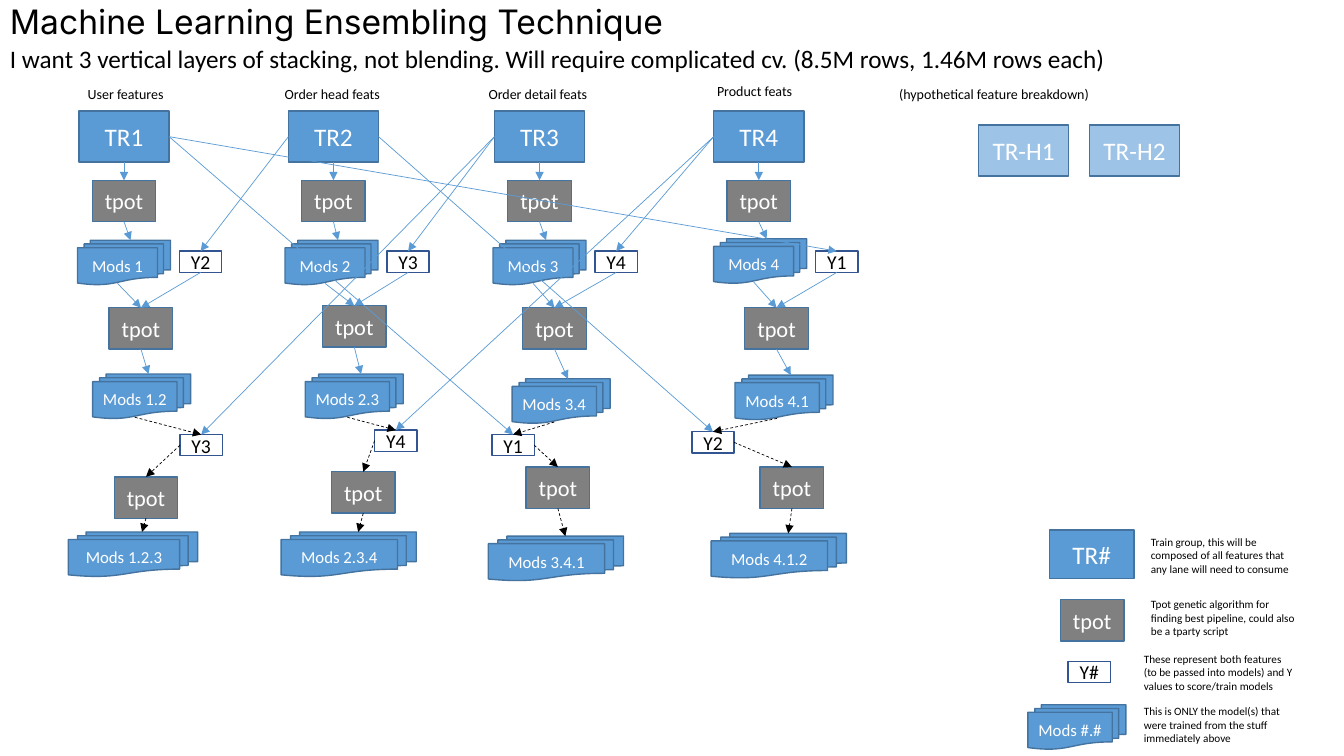
from lxml import etree
from pptx import Presentation
from pptx.dml.color import RGBColor
from pptx.enum.dml import MSO_LINE
from pptx.enum.shapes import MSO_CONNECTOR, MSO_SHAPE
from pptx.enum.text import MSO_ANCHOR, PP_ALIGN
from pptx.oxml.ns import qn
from pptx.util import Pt

RECT = MSO_SHAPE.RECTANGLE
DOCS = MSO_SHAPE.FLOWCHART_MULTIDOCUMENT
LEFT, CENTER = PP_ALIGN.LEFT, PP_ALIGN.CENTER
MIDDLE, TOP_ANCHOR = MSO_ANCHOR.MIDDLE, MSO_ANCHOR.TOP
STRAIGHT, DASH = MSO_CONNECTOR.STRAIGHT, MSO_LINE.DASH
TOP, LEFT_SIDE, BOTTOM, RIGHT_SIDE = range(4)

rgb = RGBColor.from_string
BLUE, BLACK, WHITE, EDGE = "5B9BD5", "000000", "FFFFFF", "43739E"

# Kind of box: outline, width, height, fill, line, text colour, text size
KINDS = {
    "train": (RECT, 64.4, 36.4, BLUE, EDGE, WHITE, 18),
    "holdout": (RECT, 64.4, 36.4, "9DC3E6", EDGE, WHITE, 18),
    "train key": (RECT, 60.5, 34.6, BLUE, EDGE, WHITE, 18),
    "tpot": (RECT, 45.4, 29.6, "808080", EDGE, WHITE, 16),
    "target": (RECT, 30.2, 15.2, WHITE, "325491", BLACK, 14),
    "models 1": (DOCS, 66.4, 31.8, BLUE, EDGE, WHITE, 12),
    "models 2": (DOCS, 70, 31.8, BLUE, EDGE, WHITE, 12),
    "models 3": (DOCS, 96.6, 31.8, BLUE, EDGE, WHITE, 12),
}

deck = Presentation()
deck.slide_width, deck.slide_height = Pt(960), Pt(540)
page = deck.slides.add_slide(deck.slide_layouts[6])


def add_box(kind, words, left, top, wide=None):
    outline, width, height, fill, line, colour, size = KINDS[kind]
    box = page.shapes.add_shape(outline, Pt(left), Pt(top), Pt(wide or width), Pt(height))
    box.shadow.inherit = False
    box.fill.solid()
    box.fill.fore_color.rgb = rgb(fill)
    box.line.color.rgb = rgb(line)
    box.line.width = Pt(1)
    box.text_frame.word_wrap = False
    box.text_frame.vertical_anchor = MIDDLE
    para = box.text_frame.paragraphs[0]
    para.alignment = CENTER
    span = para.add_run()
    span.text = words
    span.font.name, span.font.size = "Calibri", Pt(size)
    span.font.color.rgb = rgb(colour)
    return box


def add_arrow(start, start_side, end, end_side, colour=BLUE, dash=None):
    ends = []
    for box, side in ((start, start_side), (end, end_side)):
        # Stacked documents are joined off centre, at the front or the back sheet
        stacked = box.auto_shape_type == DOCS
        across = {TOP: 0.57 if stacked else 0.5, LEFT_SIDE: 0,
                  BOTTOM: 0.43 if stacked else 0.5, RIGHT_SIDE: 1}[side]
        down = {TOP: 0, BOTTOM: 0.97 if stacked else 1}.get(side, 0.5)
        ends += [int(box.left + across * box.width), int(box.top + down * box.height)]
    arrow = page.shapes.add_connector(STRAIGHT, *ends)
    arrow.begin_connect(start, start_side)
    arrow.end_connect(end, end_side)
    arrow.begin_x, arrow.begin_y, arrow.end_x, arrow.end_y = ends
    arrow.line.color.rgb = rgb(colour)
    arrow.line.width = Pt(0.5)
    if dash:
        arrow.line.dash_style = dash
    line = arrow.line._get_or_add_ln()
    etree.SubElement(line, qn("a:tailEnd"), type="triangle")
    etree.SubElement(arrow._element.spPr, qn("a:effectLst"))


# Title, subtitle, lane captions and legend texts:
# words, left, top, width, height, size, font, alignment, anchor
TEXTS = [
    ("Machine Learning Ensembling Technique", 0, 0, 960, 33, 24, "Inter", LEFT, MIDDLE),
    ("I want 3 vertical layers of stacking, not blending. Will require complicated cv. "
     "(8.5M rows, 1.46M rows each)", 0, 27.4, 810, 29, 18, "Calibri", LEFT, TOP_ANCHOR),
]
for words, left, top, width in [
    ("User features", 43.2, 57.2, 93),
    ("Order head feats", 190.8, 57.2, 93),
    ("Order detail feats", 337.7, 57.6, 93),
    ("Product feats", 492.5, 55.4, 93),
    ("(hypothetical feature breakdown)", 600.5, 57.6, 219),
]:
    TEXTS.append((words, left, top, width, 19.4, 10, "Calibri", CENTER, TOP_ANCHOR))
for words, left, top in [
    ("Train group, this will be composed of all features that any lane will need to consume",
     815, 378.7),
    ("Tpot genetic algorithm for finding best pipeline, could also be a tparty script",
     815, 423.4),
    ("These represent both features (to be passed into models) and Y values to "
     "score/train models", 810, 462.2),
    ("This is ONLY the model(s) that were trained from the stuff immediately above",
     810, 499.7),
]:
    TEXTS.append((words, left, top, 122.4, 36, 8, "Calibri", LEFT, TOP_ANCHOR))

for words, left, top, width, height, size, font, align, anchor in TEXTS:
    box = page.shapes.add_textbox(Pt(left), Pt(top), Pt(width), Pt(height))
    box.text_frame.word_wrap = True
    box.text_frame.vertical_anchor = anchor
    para = box.text_frame.paragraphs[0]
    para.alignment = align
    if font == "Inter":
        para.line_spacing = 0.9
    span = para.add_run()
    span.text = words
    span.font.name, span.font.size = font, Pt(size)
    span.font.color.rgb = rgb(BLACK)

# Left and top of the boxes in each lane:
# train left, models 1, tpot 2, models 2, target 2, tpot 3, models 3
LANES = [
    (56.4, (55.4, 171.6), (78, 219.8), (66.2, 267.2), (128.6, 310.4), (81.6, 340.6), (48.8, 380)),
    (206, (203.6, 171.6), (230.4, 218.4), (218, 267.2), (267.6, 307.2), (236.8, 337), (200.8, 380)),
    (353.2, (352.2, 171.6), (373.4, 219.8), (365.8, 270.6), (351.4, 310.4), (375.8, 333.6),
     (348.8, 383)),
    (509.8, (509.8, 170.6), (532, 219.8), (525, 268), (494.2, 308.4), (543, 333.6), (508, 381)),
]
lanes = []
for i, (train_left, mods1, tpot2, mods2, target2, tpot3, mods3) in enumerate(LANES):
    first, second, third = (str((i + step) % 4 + 1) for step in range(3))
    lanes.append({
        "train": add_box("train", "TR" + first, train_left, 79.4),
        "tpot 1": add_box("tpot", "tpot", train_left + 9.5, 128.8),
        "mods 1": add_box("models 1", "Mods " + first, *mods1),
        "target 1": add_box("target", "Y" + second, mods1[0] + 72.8, 179.4),
        "tpot 2": add_box("tpot", "tpot", *tpot2),
        "mods 2": add_box("models 2", f"Mods {first}.{second}", *mods2),
        "target 2": add_box("target", "Y" + third, *target2),
        "tpot 3": add_box("tpot", "tpot", *tpot3),
        "mods 3": add_box("models 3", f"Mods {first}.{second}.{third}", *mods3,
                          wide=92.4 if i == 0 else None),
    })

# Arrows down each lane, dashed in the third layer
for i, lane in enumerate(lanes):
    for start, end in [("train", "tpot 1"), ("tpot 1", "mods 1"), ("mods 1", "tpot 2"),
                       ("target 1", "tpot 2"), ("tpot 2", "mods 2")]:
        add_arrow(lane[start], BOTTOM, lane[end], TOP)
    turn = LEFT_SIDE if i < 2 else RIGHT_SIDE
    for start, side, end in [("mods 2", BOTTOM, "target 2"), ("target 2", turn, "tpot 3"),
                             ("tpot 3", BOTTOM, "mods 3")]:
        add_arrow(lane[start], side, lane[end], TOP, BLACK, DASH)

# Arrows from the train groups to the targets of other lanes
for step in (1, 2):
    for i, lane in enumerate(lanes):
        source = (i + step) % 4
        side = LEFT_SIDE if source > i else RIGHT_SIDE
        add_arrow(lanes[source]["train"], side, lane[f"target {step}"], TOP)

# Holdout groups and legend boxes
for kind, words, left, top in [
    ("holdout", "TR-H1", 699, 89.4),
    ("holdout", "TR-H2", 778.2, 89.4),
    ("train key", "TR#", 749.6, 378.6),
    ("tpot", "tpot", 757.4, 428.4),
    ("target", "Y#", 763, 472.4),
    ("models 2", "Mods #.#", 734.2, 503.4),
]:
    add_box(kind, words, left, top)

deck.save("out.pptx")
